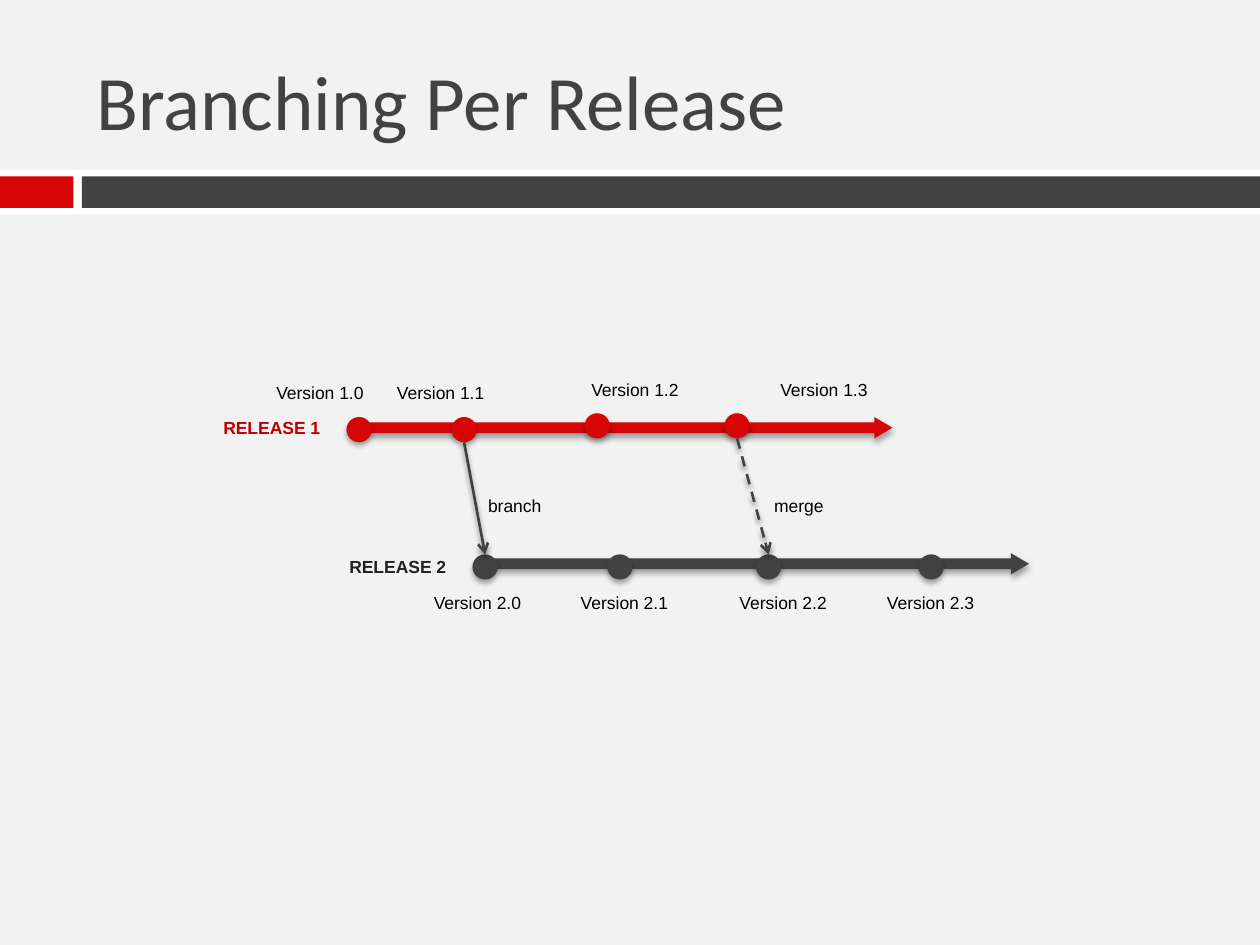
from lxml.etree import SubElement as Sub
from pptx import Presentation
from pptx.dml.color import RGBColor
from pptx.enum.dml import MSO_LINE as Dash
from pptx.enum.shapes import MSO_CONNECTOR as Line, MSO_SHAPE as Kind
from pptx.enum.text import MSO_ANCHOR as Anchor, MSO_AUTO_SIZE as Fit, PP_ALIGN as Align
from pptx.oxml.ns import qn
from pptx.util import Inches, Pt

RED, GRAY, WHITE, BLACK = "D70606", "424242", "FFFFFF", "000000"
UNIT = Inches(10) / 120  # the grid has 120 columns and 90 rows
DOT = 2.4
TEXT_H = 3.24

# Each release: color, arrow box, heading (text, color, column, row),
# and versions (text, label column, label row, dot column, dot row).
TRACKS = [
    (RED, (34, 39.72, 51, 2.04), ("RELEASE 1", "C00000", 20, 39.12), [
        ("Version 1.0", 25, 35.76, 33, 39.72),
        ("Version 1.1", 36.5, 35.76, 43, 39.72),
        ("Version 1.2", 55, 35.52, 55.68, 39.36),
        ("Version 1.3", 73, 35.52, 69, 39.36)]),
    (GRAY, (46, 52.68, 52, 2.04), ("RELEASE 2", "212121", 32, 52.32), [
        ("Version 2.0", 40, 55.8, 45, 52.8),
        ("Version 2.1", 54, 55.8, 57.84, 52.8),
        ("Version 2.2", 69.12, 55.8, 72, 52.8),
        ("Version 2.3", 83.16, 55.8, 87.48, 52.8)]),
]


def grid(*cells):
    """Turn grid columns or rows into slide lengths."""
    return [round(n * UNIT) for n in cells]


def paint(color, hue):
    """Set a color format from a hex string."""
    color.rgb = RGBColor.from_string(hue)


def shade(shape, alpha, dist):
    """Give a shape or line a soft shadow below it."""
    fx = Sub(shape.element.spPr, qn("a:effectLst"))
    drop = Sub(fx, qn("a:outerShdw"), blurRad=str(Pt(3)), dist=str(Pt(dist)),
               dir="5400000", rotWithShape="0")
    tint = Sub(drop, qn("a:srgbClr"), val=BLACK)
    Sub(tint, qn("a:alpha"), val=str(alpha * 1000))


def block(slide, kind, box, hue):
    """Add a filled shape without outline or shadow style."""
    shape = slide.shapes.add_shape(kind, *grid(*box))
    shape.fill.solid()
    paint(shape.fill.fore_color, hue)
    shape.line.fill.background()
    return shape


def write(para, text, size, face, hue, bold=False):
    """Add one formatted run to a paragraph."""
    run = para.add_run()
    run.text = text
    run.font.size = Pt(size)
    run.font.name = face
    run.font.bold = bold
    paint(run.font.color, hue)


def label(slide, text, col, row, wide, hue=BLACK, bold=False):
    """Add a small centered caption."""
    frame = slide.shapes.add_textbox(*grid(col, row, wide, TEXT_H)).text_frame
    frame.word_wrap = False
    frame.auto_size = Fit.SHAPE_TO_FIT_TEXT
    para = frame.paragraphs[0]
    para.alignment = Align.CENTER
    write(para, text, 10, "Arial", hue, bold)


def head(slide, text):
    """Place the title and the bars under it."""
    block(slide, Kind.RECTANGLE, (0, 16.2, 120, 4.2), WHITE).shadow.inherit = False
    for col, wide, hue in [(0, 7, RED), (7.8, 112.2, GRAY)]:
        block(slide, Kind.RECTANGLE, (col, 16.8, wide, 3), hue).shadow.inherit = False
    title = slide.shapes.title
    title.left, title.top, title.width, title.height = grid(8, 3, 107, 13)
    frame = title.text_frame
    frame.auto_size = Fit.NONE
    frame.vertical_anchor = Anchor.MIDDLE
    para = frame.paragraphs[0]
    para.alignment = Align.LEFT
    write(para, text, 44, "Calibri", GRAY)


def track(slide, hue, box, name, stops):
    """Draw one release line and return its dots."""
    arrow = block(slide, Kind.RIGHT_ARROW, box, hue)
    arrow.adjustments[0], arrow.adjustments[1] = 0.5, 0.85
    shade(arrow, 35, 2)
    text, tone, col, row = name
    label(slide, text, col, row, 11.76, tone, True)
    dots = []
    for text, col, row, left, top in stops:
        label(slide, text, col, row, 10.92)
        dot = block(slide, Kind.FLOWCHART_CONNECTOR, (left, top, DOT, DOT), hue)
        shade(dot, 35, 2)
        dots.append(dot)
    return dots


def link(slide, start, end, dash=None):
    """Draw an arrow from the foot of one dot to the top of another."""
    line = slide.shapes.add_connector(
        Line.STRAIGHT, start.left + start.width // 2, start.top + start.height,
        end.left + end.width // 2, end.top)
    paint(line.line.color, GRAY)
    line.line.width = Pt(1.5)
    if dash:
        line.line.dash_style = dash
    Sub(line.element.spPr.find(qn("a:ln")), qn("a:tailEnd"), type="arrow")
    shade(line, 45, 2.4)


def main():
    """Build the slide and save it."""
    deck = Presentation()
    deck.slide_width, deck.slide_height = grid(120, 90)
    slide = deck.slides.add_slide(deck.slide_layouts[5])
    back = slide.background.fill
    back.solid()
    paint(back.fore_color, "F2F2F2")
    head(slide, "Branching Per Release")
    first, second = [track(slide, *item) for item in TRACKS]
    link(slide, first[1], second[0])
    link(slide, first[3], second[2], Dash.DASH)
    label(slide, "branch", 45.24, 46.56, 7.56)
    label(slide, "merge", 72.48, 46.56, 7.2)
    deck.save("out.pptx")


main()
